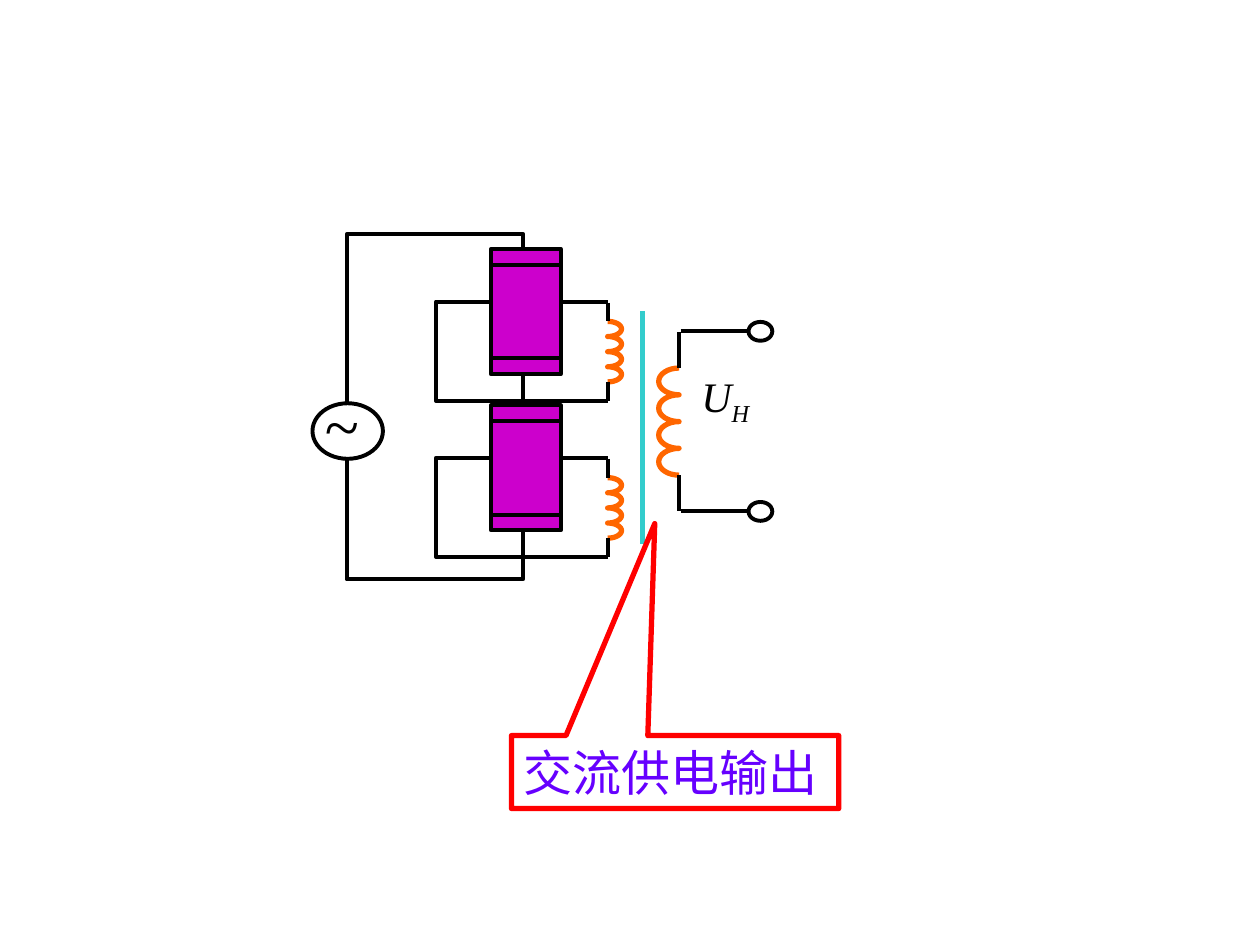
import math
import pptx
import pptx.util
import pptx.dml.color
import pptx.enum.shapes
import pptx.enum.text
import pptx.oxml
from dataclasses import dataclass

Cm = pptx.util.Cm
Pt = pptx.util.Pt
Kind = pptx.enum.shapes.MSO_SHAPE
Align = pptx.enum.text.PP_ALIGN


@dataclass(frozen=True)
class Theme:
    ink: str = "000000"
    paper: str = "FFFFFF"
    core: str = "CC00CC"
    coil: str = "FF6600"
    bar: str = "33CCCC"
    alert: str = "FF0000"
    label: str = "6600FF"
    thin: float = 2.25
    thick: float = 3
    serif: str = "Times New Roman"
    sans: str = "Arial"
    small: int = 24
    body: int = 28
    large: int = 36


theme = Theme()


def color(code):
    return pptx.dml.color.RGBColor.from_string(code)


def style(shape, line, width, fill=None):
    shape.shadow.inherit = False
    shape.line.color.rgb = color(line)
    shape.line.width = Pt(width)
    if fill:
        shape.fill.solid()
        shape.fill.fore_color.rgb = color(fill)
    else:
        shape.fill.background()


def block(slide, kind, box, line=theme.ink, width=theme.thin, fill=None):
    shape = slide.shapes.add_shape(kind, *map(Cm, box))
    style(shape, line, width, fill)
    return shape


def wire(slide, start, end, line=theme.ink, width=theme.thin):
    link = slide.shapes.add_connector(
        pptx.enum.shapes.MSO_CONNECTOR.STRAIGHT, *map(Cm, start + end))
    link.line.color.rgb = color(line)
    link.line.width = Pt(width)
    link._element.spPr.append(pptx.oxml.parse_xml(
        '<a:effectLst xmlns:a="http://schemas.openxmlformats.org/drawingml/2006/main"/>'))


def path(slide, points, line=theme.ink, width=theme.thin):
    points = [(Cm(x), Cm(y)) for x, y in points]
    build = slide.shapes.build_freeform(*points[0])
    build.add_line_segments(points[1:], close=False)
    style(build.convert_to_shape(), line, width)


def coil(slide, x, top, bottom, depth, lead, turns=4, steps=16):
    pitch = (bottom - top) / turns
    points = [(x, top)]
    for turn in range(turns):
        for step in range(1, steps + 1):
            angle = math.pi * step / steps
            points.append((x + depth * math.sin(angle),
                           top + pitch * (turn + (1 - math.cos(angle)) / 2)))
    path(slide, points, theme.coil, theme.thick)
    wire(slide, (x, top - lead), (x, top))
    wire(slide, (x, bottom), (x, bottom + lead))


def write(para, text, face, size, tint, align):
    para.text = text
    para.alignment = align
    for run in para.runs:
        run.font.name = face
        run.font.size = Pt(size)
        run.font.color.rgb = color(tint)


def note(slide, box, text, size):
    frame = slide.shapes.add_textbox(*map(Cm, box)).text_frame
    frame.word_wrap = True
    para = frame.paragraphs[0]
    write(para, text, theme.serif, size, theme.ink, Align.JUSTIFY)
    return para


def stage(slide, top):
    left, right, low = 8.79, 12.25, top + 2
    coil(slide, right, top + 0.4, top + 1.62, 0.28, 0.38)
    path(slide, [(right, top), (left, top), (left, low), (right, low)])
    long, wide = 2.52, 1.41
    core = block(slide, Kind.FLOWCHART_PREDEFINED_PROCESS,
                 (10.6 - long / 2, top + 0.2 - wide / 2, long, wide),
                 fill=theme.core)
    core.rotation = 270


def port(slide, y):
    wire(slide, (13.72, y), (15.32, y))
    block(slide, Kind.OVAL, (15.09, y - 0.19, 0.48, 0.38), fill=theme.paper)


def supply(slide):
    block(slide, Kind.OVAL, (6.3, 8.13, 1.42, 1.12), fill=theme.paper)
    note(slide, (6.3, 7.67, 3.1, 2.44), "~", theme.large)


def output(slide):
    for y in (6.68, 10.31):
        port(slide, y)
    coil(slide, 13.69, 7.42, 9.58, -0.41, 0.72)
    para = note(slide, (13.89, 7.34, 2.97, 2.21), "U", theme.small)
    sub = para.add_run()
    sub.text = "H"
    sub.font.name = theme.serif
    sub.font.size = Pt(theme.small)
    sub.font.color.rgb = color(theme.ink)
    sub.font._element.set("baseline", "-25000")
    for run in para.runs:
        run.font.italic = True


def callout(slide):
    shape = block(slide, Kind.RECTANGULAR_CALLOUT, (10.31, 14.83, 6.6, 1.47),
                  theme.alert, theme.thick)
    shape.adjustments[0] = -0.062
    shape.adjustments[1] = -3.408
    frame = shape.text_frame
    frame.word_wrap = True
    write(frame.paragraphs[0], "交流供电输出", theme.sans, theme.body,
          theme.label, Align.LEFT)


def main():
    deck = pptx.Presentation()
    deck.slide_width, deck.slide_height = Cm(25.4), Cm(19.05)
    slide = deck.slides.add_slide(deck.slide_layouts[6])
    block(slide, Kind.RECTANGLE, (6.99, 4.72, 3.56, 6.96))
    output(slide)
    for top in (6.08, 9.23):
        stage(slide, top)
    supply(slide)
    wire(slide, (12.95, 6.27), (12.95, 10.97), theme.bar, theme.thick)
    callout(slide)
    deck.save("out.pptx")


if __name__ == "__main__":
    main()
